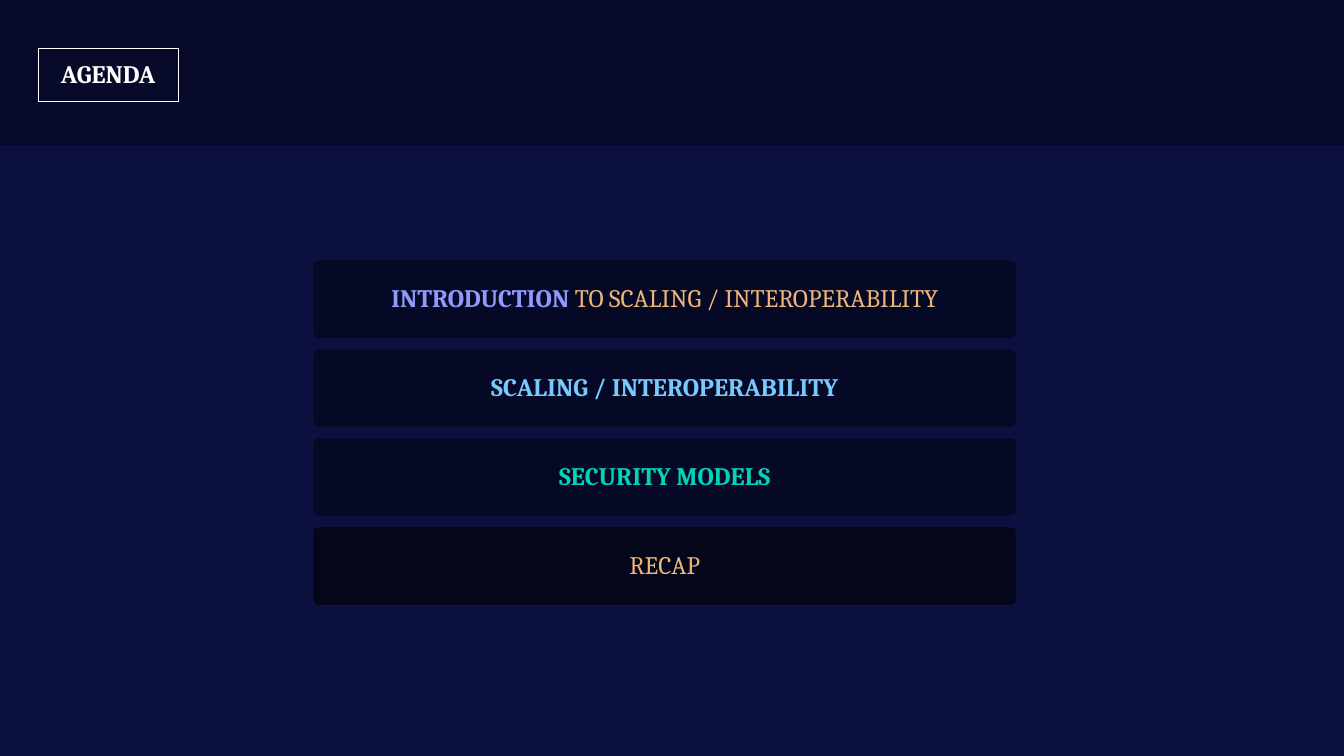
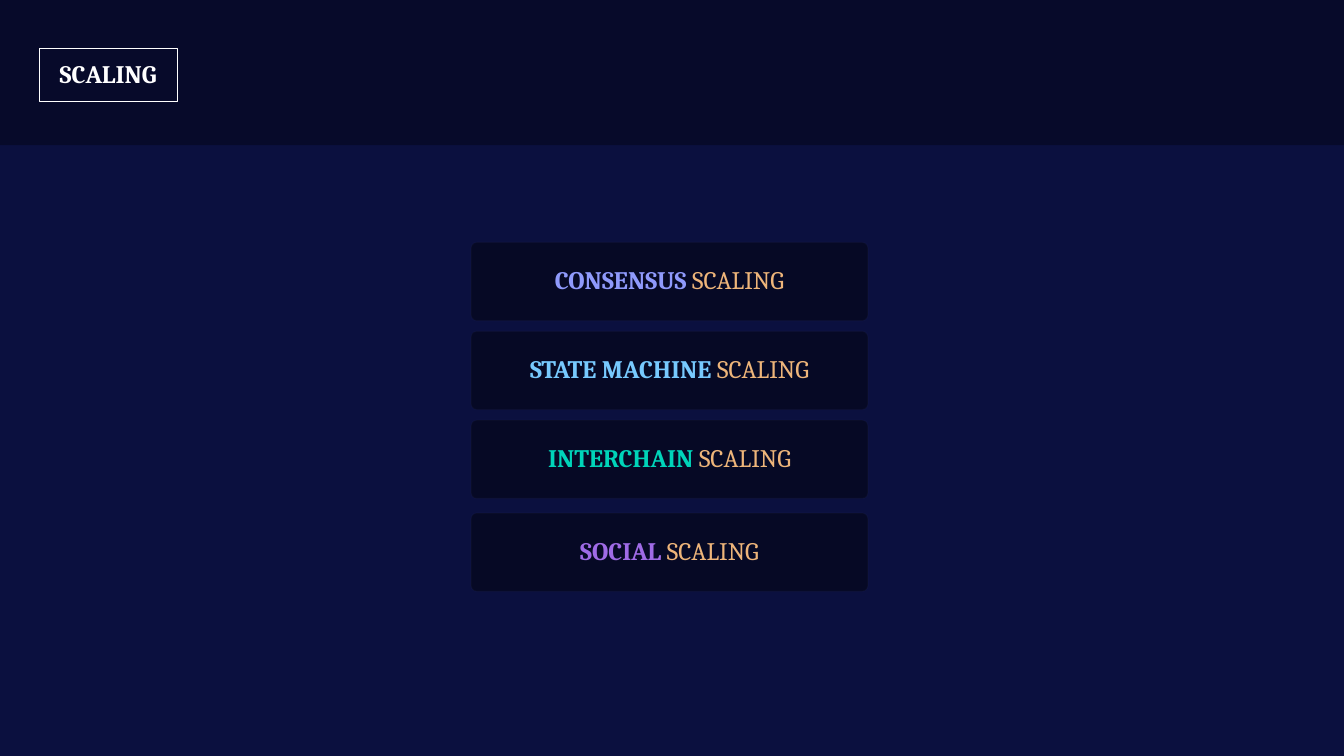
from typing import NamedTuple

from lxml import etree
from pptx import Presentation
from pptx.dml.color import RGBColor
from pptx.enum import shapes, text
from pptx.oxml import ns
from pptx.util import Cm, Pt

NAVY = RGBColor(0x0B, 0x10, 0x3F)
BLACK = RGBColor(0, 0, 0)
WHITE = RGBColor(0xFF, 0xFF, 0xFF)
LILAC = RGBColor(0x8F, 0x9A, 0xFC)
SKY = RGBColor(0x77, 0xC9, 0xFE)
TEAL = RGBColor(0x00, 0xD4, 0xB9)
VIOLET = RGBColor(0x9F, 0x6B, 0xE6)
SAND = RGBColor(0xEE, 0xB5, 0x7A)

FONT = "Cambria"
WIDTH, HEIGHT = 67.74, 38.1
BAR_H, STEP = 3.94, 4.48
RECT = shapes.MSO_SHAPE.RECTANGLE
ROUND = shapes.MSO_SHAPE.ROUNDED_RECTANGLE


class Box(NamedTuple):
    left: float
    top: float
    width: float
    height: float


class Run(NamedTuple):
    words: str
    color: RGBColor
    bold: bool = True


class Bar(NamedTuple):
    runs: list[Run]
    alpha: int = 40
    drop: float = 0  # extra distance below the regular step


class Page(NamedTuple):
    title: str
    tag: Box
    left: float
    top: float
    width: float
    bars: list[Bar]


SCALING = Run(" SCALING", SAND, False)

PAGES = [
    Page("AGENDA", Box(1.93, 2.44, 7.04, 2.69), 15.77, 13.11, 35.46, [
        Bar([Run("INTRODUCTION", LILAC),
             Run(" TO SCALING / INTEROPERABILITY", SAND, False)]),
        Bar([Run("SCALING / INTEROPERABILITY", SKY)]),
        Bar([Run("SECURITY MODELS", TEAL)]),
        Bar([Run("RECAP", SAND, False)], alpha=60),
    ]),
    Page("SCALING", Box(1.96, 2.44, 6.99, 2.69), 23.75, 12.22, 19.99, [
        Bar([Run("CONSENSUS", LILAC), SCALING]),
        Bar([Run("STATE MACHINE", SKY), SCALING]),
        Bar([Run("INTERCHAIN", TEAL), SCALING]),
        Bar([Run("SOCIAL", VIOLET), SCALING], drop=0.2),
    ]),
]


def fade(fill, alpha: int) -> None:
    """Set the opacity, in percent, of a solidFill element."""
    tint = etree.SubElement(fill[0], ns.qn("a:alpha"))
    tint.set("val", str(alpha * 1000))


def add_box(slide, kind, box: Box, *, alpha: int = 0, line: float = 0,
            line_alpha: int = 100, corner: float = 0):
    """Draw a black box of the given opacity, with a white outline if asked."""
    shape = slide.shapes.add_shape(kind, *(Cm(n) for n in box))
    shape.shadow.inherit = False
    if kind == ROUND:
        shape.adjustments[0] = corner
    props = shape.element.spPr
    if alpha:
        shape.fill.solid()
        shape.fill.fore_color.rgb = BLACK
        fade(props.find(ns.qn("a:solidFill")), alpha)
    else:
        shape.fill.background()
    if line:
        shape.line.color.rgb = WHITE
        shape.line.width = Pt(line)
        if line_alpha < 100:
            edge = props.find(ns.qn("a:ln"))
            fade(edge.find(ns.qn("a:solidFill")), line_alpha)
    else:
        shape.line.fill.background()
    return shape


def put_text(shape, runs: list[Run], *, size: float = 36, before: float = 0,
             wrap: bool = True) -> None:
    frame = shape.text_frame
    frame.word_wrap = wrap
    frame.vertical_anchor = text.MSO_ANCHOR.MIDDLE
    para = frame.paragraphs[0]
    para.alignment = text.PP_ALIGN.CENTER
    para.line_spacing = 0.9
    para.space_before = Pt(before)
    for part in runs:
        run = para.add_run()
        run.text = part.words
        run.font.name = FONT
        run.font.size = Pt(size)
        run.font.bold = part.bold
        run.font.color.rgb = part.color


def add_head(slide, title: str, tag: Box) -> None:
    add_box(slide, RECT, Box(0, 0, WIDTH, 7.32), alpha=32)
    shape = add_box(slide, ROUND, tag, line=1)
    put_text(shape, [Run(title, WHITE)], wrap=False)
    frame = shape.text_frame
    frame.margin_left = frame.margin_right = Cm(0.61)
    frame.margin_top = frame.margin_bottom = Cm(0.51)
    frame.auto_size = text.MSO_AUTO_SIZE.SHAPE_TO_FIT_TEXT


def add_page(deck, page: Page) -> None:
    slide = deck.slides.add_slide(deck.slide_layouts[6])
    add_head(slide, page.title, page.tag)
    for row, bar in enumerate(page.bars):
        top = page.top + row * STEP + bar.drop
        shape = add_box(slide, ROUND, Box(page.left, top, page.width, BAR_H),
                        alpha=bar.alpha, line=2, line_alpha=2, corner=0.07)
        put_text(shape, bar.runs, before=20)


def main() -> None:
    deck = Presentation()
    deck.slide_width, deck.slide_height = Cm(WIDTH), Cm(HEIGHT)
    back = deck.slide_master.background.fill
    back.solid()
    back.fore_color.rgb = NAVY
    for page in PAGES:
        add_page(deck, page)
    deck.save("out.pptx")


if __name__ == "__main__":
    main()
